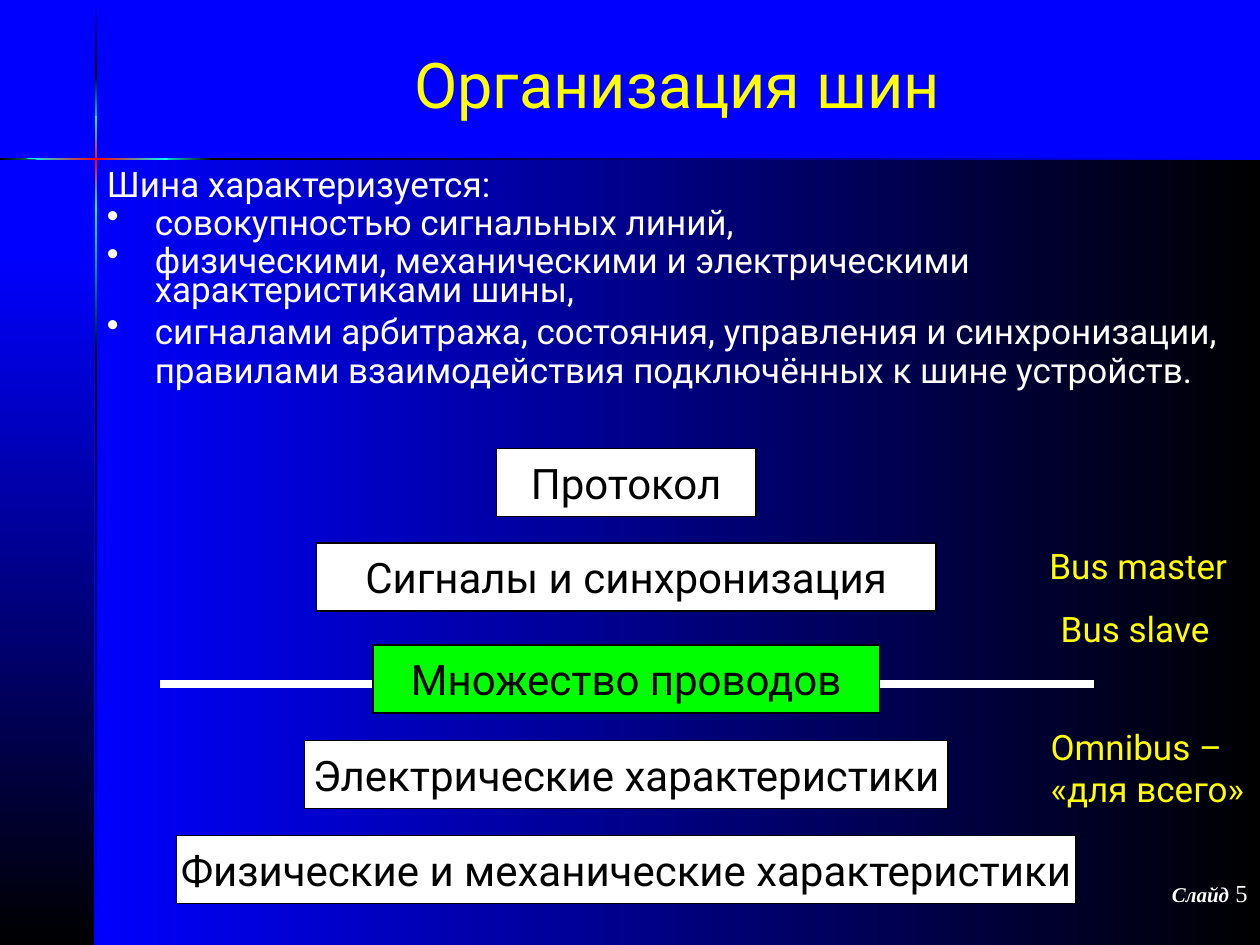
import pptx
import pptx.dml.color
import pptx.enum.shapes
import pptx.enum.text
import pptx.oxml.ns
import pptx.util
from lxml import etree

Inches, Pt = pptx.util.Inches, pptx.util.Pt
qn = pptx.oxml.ns.qn
PP_ALIGN, MSO_ANCHOR = pptx.enum.text.PP_ALIGN, pptx.enum.text.MSO_ANCHOR
RECT = pptx.enum.shapes.MSO_SHAPE.RECTANGLE

BLUE, BLACK, CYAN, RED = "0000FF", "000000", "00FFFF", "FF0000"
WHITE, YELLOW, GREEN = "FFFFFF", "FFFF00", "00FF00"
FONT = "Roboto"
ACROSS, DOWN = 0, 90

# Content
TITLE = "Организация шин"
# text, bullet, space before
BODY = [
    ("Шина характеризуется:", False, 5),
    ("совокупностью сигнальных линий,", True, 5),
    ("физическими, механическими и электрическими характеристиками шины,", True, 5),
    ("сигналами арбитража, состояния, управления и синхронизации, "
     "правилами взаимодействия подключённых к шине устройств.", True, 7),
]
# text, top, width, fill
LAYERS = [
    ("Физические и механические характеристики", 6.63, 7.14, WHITE),
    ("Электрические характеристики", 5.88, 5.11, WHITE),
    ("Протокол", 3.56, 2.06, WHITE),
    ("Множество проводов", 5.12, 4.02, GREEN),
    ("Сигналы и синхронизация", 4.31, 4.92, WHITE),
]
LAYER_CENTER, LAYER_HEIGHT = 4.97, 0.54
# lines, left, top, width, height
NOTES = [
    (["Bus master"], 8.23, 4.27, 1.68, 0.44),
    (["Bus slave"], 8.32, 4.77, 1.42, 0.44),
    (["Omnibus –", "«для всего»"], 8.24, 5.71, 1.77, 0.77),
]
# Background panels and rules: left, top, width, height, colours, direction
RULE_X, RULE_Y, THIN = 0.75, 1.25, 0.02
PANELS = [
    (RULE_X, RULE_Y, 9.25, 6.25, (BLUE, BLACK), ACROSS),
    (0, 2.02, RULE_X, 5.48, (BLUE, BLACK), DOWN),
    (RULE_X, 0.01, THIN, 0.57, (BLUE, BLACK), DOWN),
    (RULE_X, 2.82, THIN, 4.68, (BLACK, BLUE), DOWN),
    (RULE_X, 1.63, THIN, 1.22, (CYAN, BLACK), DOWN),
    (RULE_X, 0.58, THIN, 0.44, (BLACK, CYAN), DOWN),
    (RULE_X, 0.92, THIN, 0.73, (CYAN, RED, CYAN), DOWN),
    (0, RULE_Y, 0.61, THIN, (BLACK, CYAN), ACROSS),
    (1.67, RULE_Y, 8.33, THIN, (BLACK, BLUE), ACROSS),
    (1.25, RULE_Y, 0.44, THIN, (CYAN, BLACK), ACROSS),
]
GLINT = [(0.21, 1.26), (0.6, 1.27), (1.33, 1.27), (1.33, 1.25), (0.6, 1.25)]


def rgb(color):
    return pptx.dml.color.RGBColor.from_string(color)


def paint_gradient(sp, colors, angle):
    sp.shadow.inherit = False
    sp.line.fill.background()
    sp.fill.gradient()
    sp.fill.gradient_angle = -angle % 360
    stops = sp._element.spPr.find(qn("a:gradFill")).find(qn("a:gsLst"))
    for stop in list(stops):
        stops.remove(stop)
    for i, color in enumerate(colors):
        pos = str(100000 * i // (len(colors) - 1))
        stop = etree.SubElement(stops, qn("a:gs"), pos=pos)
        etree.SubElement(stop, qn("a:srgbClr"), val=color)


def add_run(p, text, size, color, font=FONT, bold=False, italic=False):
    r = p.add_run()
    r.text = text
    r.font.size, r.font.name = Pt(size), font
    r.font.bold, r.font.italic = bold, italic
    r.font.color.rgb = rgb(color)


def add_text_box(s, left, top, width, height, wrap=True):
    sp = s.shapes.add_textbox(Inches(left), Inches(top), Inches(width), Inches(height))
    sp.text_frame.word_wrap = wrap
    return sp.text_frame


def paragraph(tf, index):
    return tf.add_paragraph() if index else tf.paragraphs[0]


def indent(p, bullet):
    pPr = p._p.get_or_add_pPr()
    pPr.set("marL", str(Inches(0.38)))
    pPr.set("indent", str(-Inches(0.38)))
    if bullet:
        color = etree.SubElement(pPr, qn("a:buClr"))
        etree.SubElement(color, qn("a:srgbClr"), val=WHITE)
        etree.SubElement(pPr, qn("a:buChar"), char="•")
    else:
        etree.SubElement(pPr, qn("a:buNone"))


prs = pptx.Presentation()
prs.slide_width, prs.slide_height = Inches(10), Inches(7.5)
s = prs.slides.add_slide(prs.slide_layouts[6])
s.background.fill.solid()
s.background.fill.fore_color.rgb = rgb(BLUE)

# Background panels and crossed rules
for *box, colors, angle in PANELS:
    paint_gradient(s.shapes.add_shape(RECT, *map(Inches, box)), colors, angle)
points = [(Inches(x), Inches(y)) for x, y in GLINT]
builder = s.shapes.build_freeform(*points[0])
builder.add_line_segments(points[1:], close=True)
paint_gradient(builder.convert_to_shape(), (CYAN, RED, CYAN), ACROSS)

# Slide number
p = add_text_box(s, 7.92, 6.92, 2.08, 0.5).paragraphs[0]
p.alignment = PP_ALIGN.RIGHT
add_run(p, "Слайд", 12, WHITE, "Times New Roman", bold=True, italic=True)
add_run(p, " 5", 14, WHITE, "Times New Roman")

# Bus line behind the layers
line = s.shapes.add_connector(pptx.enum.shapes.MSO_CONNECTOR.STRAIGHT,
                              Inches(8.68), Inches(5.43), Inches(1.27), Inches(5.43))
line.line.color.rgb = rgb(WHITE)
line.line.width = Pt(4.5)
etree.SubElement(line._element.spPr, qn("a:effectLst"))

# Title
tf = add_text_box(s, 0.75, 0.08, 9.25, 1.17)
tf.vertical_anchor = MSO_ANCHOR.MIDDLE
tf.paragraphs[0].alignment = PP_ALIGN.CENTER
add_run(tf.paragraphs[0], TITLE, 36, YELLOW)

# Body list
tf = add_text_box(s, 0.75, 1.33, 9.25, 2.14)
for i, (text, bullet, before) in enumerate(BODY):
    p = paragraph(tf, i)
    p.line_spacing, p.space_before = 0.7, Pt(before)
    indent(p, bullet)
    add_run(p, text, 20, WHITE)
add_run(p, " ", 28, WHITE)  # larger closing space opens up the last line

# Layers, centred on one axis
for text, top, width, fill in LAYERS:
    sp = s.shapes.add_shape(RECT, Inches(LAYER_CENTER - width / 2), Inches(top),
                            Inches(width), Inches(LAYER_HEIGHT))
    sp.shadow.inherit = False
    sp.fill.solid()
    sp.fill.fore_color.rgb = rgb(fill)
    sp.line.color.rgb = rgb(BLACK)
    sp.line.width = Pt(0.75)
    tf = sp.text_frame
    tf.word_wrap = False
    tf.vertical_anchor = MSO_ANCHOR.MIDDLE
    tf.paragraphs[0].alignment = PP_ALIGN.CENTER
    add_run(tf.paragraphs[0], text, 24, BLACK)

# Side notes
for lines, *box in NOTES:
    tf = add_text_box(s, *box, wrap=False)
    tf.auto_size = pptx.enum.text.MSO_AUTO_SIZE.SHAPE_TO_FIT_TEXT
    for i, text in enumerate(lines):
        add_run(paragraph(tf, i), text, 20, YELLOW)

prs.save("out.pptx")
